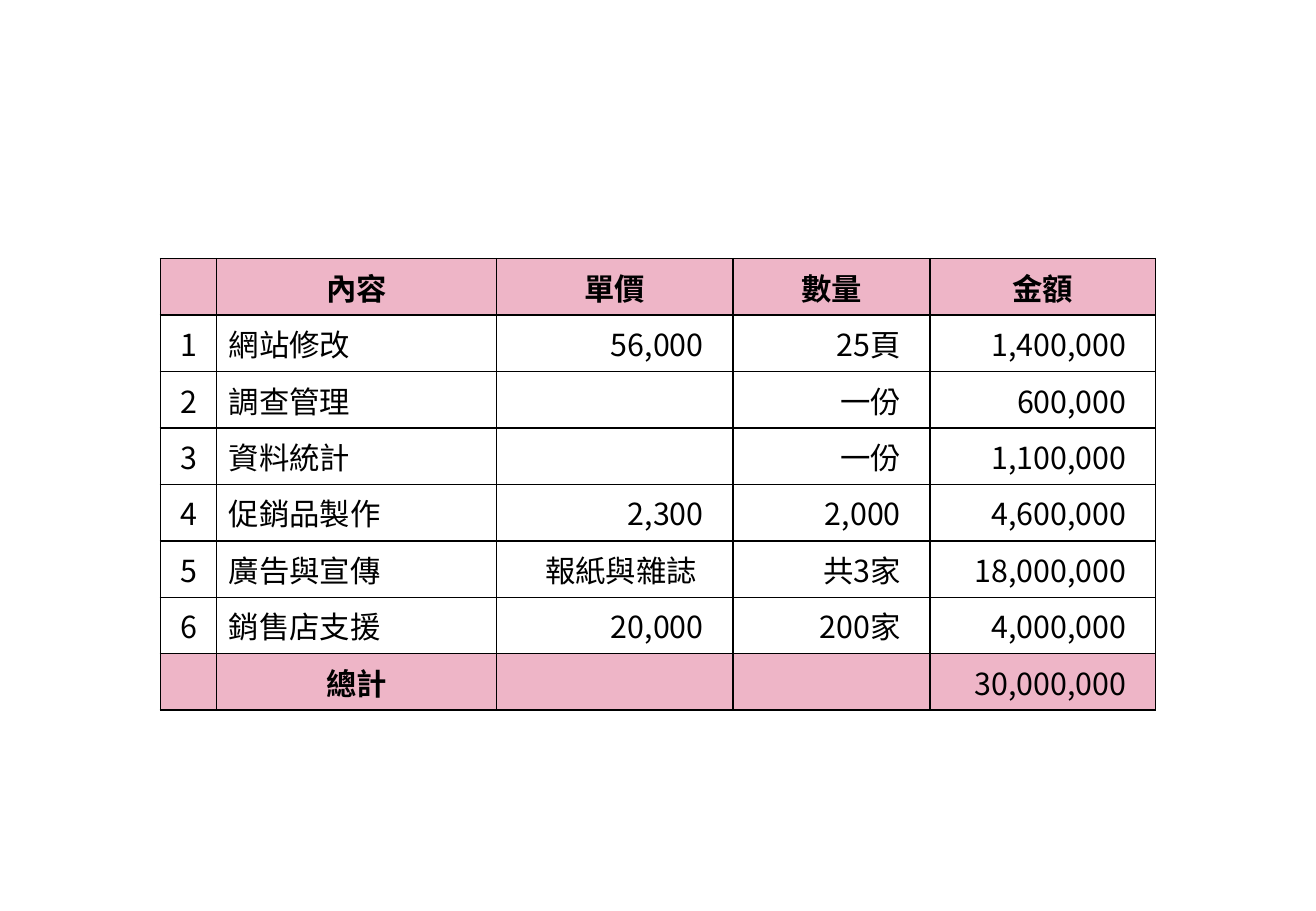
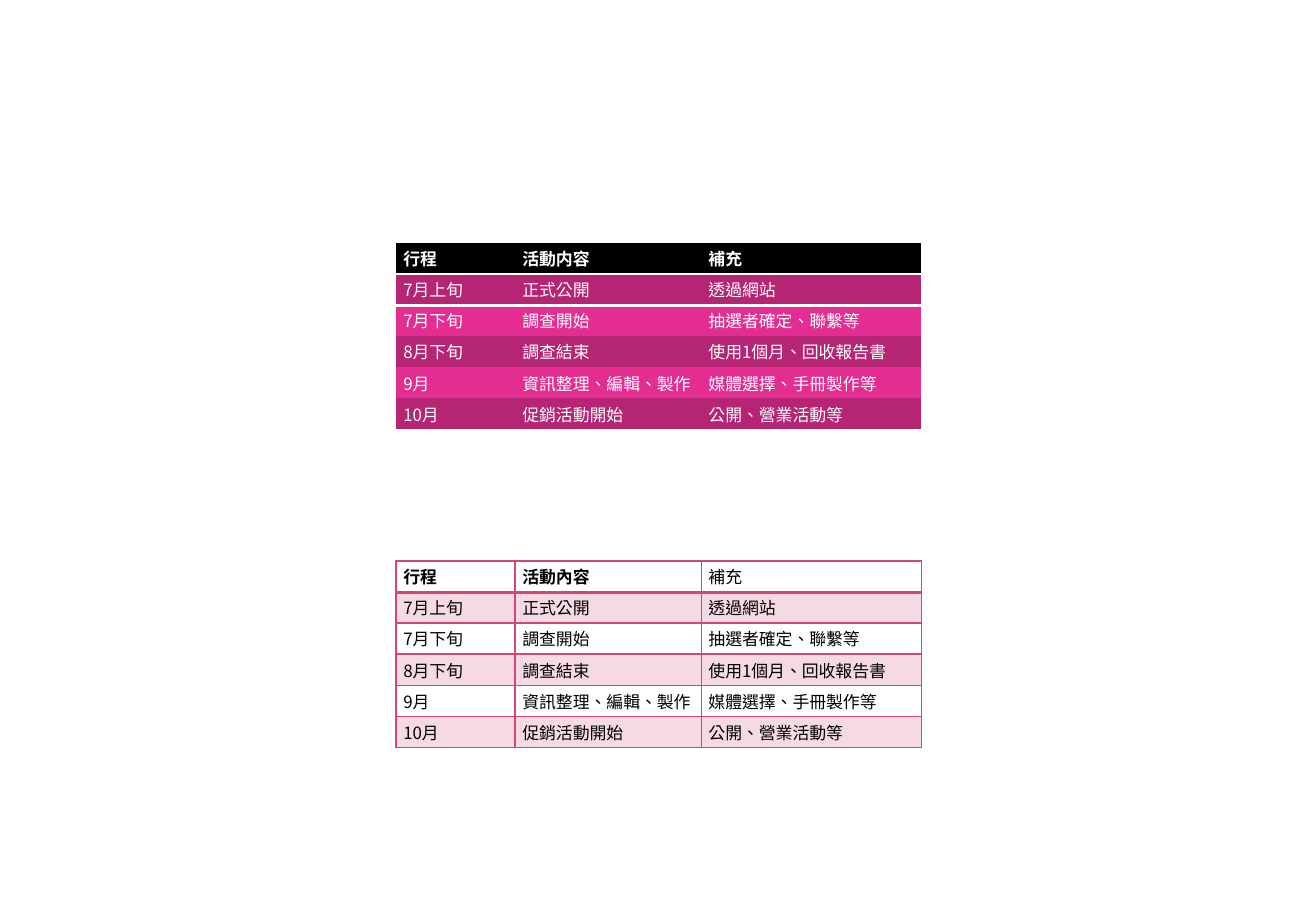
from dataclasses import dataclass
from typing import Optional

from lxml.etree import SubElement
from pptx import Presentation
from pptx.dml.color import RGBColor
from pptx.enum.lang import MSO_LANGUAGE_ID as LANG
from pptx.enum.text import MSO_ANCHOR as ANCHOR, PP_ALIGN as ALIGN
from pptx.oxml import parse_xml
from pptx.oxml.ns import nsdecls, qn
from pptx.util import Cm, Pt


@dataclass(frozen=True)
class Theme:
    font: str = "Noto Sans CJK SC"
    black: str = "000000"
    white: str = "FFFFFF"
    blush: str = "EEB5C7"
    rose: str = "D54773"
    plum: str = "B62474"
    magenta: str = "E32D91"
    budget_size: int = 18
    schedule_size: int = 10
    line: int = 1
    header_line: int = 2
    tint: int = 20
    no_style: str = "{2D5ABB26-0587-4C30-8999-92F81FD0307C}"


T = Theme()


@dataclass(frozen=True)
class TableLook:
    size: int
    margins: tuple  # horizontal and vertical, in cm
    row_height: float
    text: str = T.black
    header_fill: Optional[str] = None
    bands: tuple = (None, None)
    alpha: int = 100
    grid: Optional[str] = None
    header_rule: Optional[str] = None


BUDGET = TableLook(T.budget_size, (0.25, 0.13), 1.17, header_fill=T.blush, grid=T.black)
SOLID = TableLook(T.schedule_size, (0.15, 0.07), 0.65, text=T.white, header_fill=T.black,
                  bands=(T.plum, T.magenta), header_rule=T.white)
TINTED = TableLook(T.schedule_size, (0.15, 0.07), 0.65, bands=(T.rose, None),
                   alpha=T.tint, grid=T.rose, header_rule=T.rose)

BUDGET_COLS = (1.18, 5.85, 4.94, 4.12, 4.72)
BUDGET_RIGHT_MARGIN = 0.61
BUDGET_ROWS = [
    ("", "內容", "單價", "數量", "金額"),
    ("1", "網站修改", "56,000", "25頁", "1,400,000"),
    ("2", "調查管理", "", "一份", "600,000"),
    ("3", "資料統計", "", "一份", "1,100,000"),
    ("4", "促銷品製作", "2,300", "2,000", "4,600,000"),
    ("5", "廣告與宣傳", "報紙與雜誌 ", "共3家", "18,000,000"),
    ("6", "銷售店支援", "20,000", "200家", "4,000,000"),
    ("", "總計", "", "", "30,000,000"),
]

SCHEDULE_LEFT = 8.28
SCHEDULE_COLS = (2.49, 3.89, 4.6)
SCHEDULE_ROWS = [
    ("7月上旬", "正式公開", "透過網站"),
    ("7月下旬", "調查開始", "抽選者確定、聯繫等"),
    ("8月下旬", "調查結束", "使用1個月、回收報告書"),
    ("9月", "資訊整理、編輯、製作", "媒體選擇、手冊製作等"),
    ("10月", "促銷活動開始", "公開、營業活動等"),
]


def paint(cell, color, alpha=100):
    if color is None:
        cell.fill.background()
        return
    cell.fill.solid()
    cell.fill.fore_color.rgb = RGBColor.from_string(color)
    if alpha < 100:
        srgb = cell.fill._xPr.find(qn("a:solidFill")).find(qn("a:srgbClr"))
        SubElement(srgb, qn("a:alpha"), val=str(alpha * 1000))


def set_borders(cell, borders):
    """Add (side, colour, points) lines, given in the order L, R, T, B, ahead of the fill."""
    tcPr = cell._tc.get_or_add_tcPr()
    for i, (side, color, width) in enumerate(borders):
        tcPr.insert(i, parse_xml(
            f'<a:ln{side} {nsdecls("a")} w="{Pt(width)}"><a:solidFill>'
            f'<a:srgbClr val="{color}"/></a:solidFill></a:ln{side}>'))


def cell_borders(look, row):
    """The header rule is shared by the header's bottom and the first body row's top."""
    rule_side = {0: "B", 1: "T"}.get(row) if look.header_rule else None
    for side in "LRTB":
        if side == rule_side:
            yield side, look.header_rule, T.header_line
        elif look.grid:
            yield side, look.grid, T.line


def set_bold(cell, bold):
    for r in cell.text_frame.paragraphs[0].runs:
        r.font.bold = bold


def write_cell(cell, text, look, bold):
    cell.vertical_anchor = ANCHOR.MIDDLE
    cell.margin_left = cell.margin_right = Cm(look.margins[0])
    cell.margin_top = cell.margin_bottom = Cm(look.margins[1])
    cell.text_frame.text = text
    for r in cell.text_frame.paragraphs[0].runs:
        r.font.name = T.font
        r.font.size = Pt(look.size)
        r.font.color.rgb = RGBColor.from_string(look.text)
        r.font.language_id = LANG.TRADITIONAL_CHINESE
        SubElement(r.font._element, qn("a:ea"), typeface=T.font)
    set_bold(cell, bold)


def add_table(s, left, top, cols, rows, look):
    frame = s.shapes.add_table(len(rows), len(cols), Cm(left), Cm(top),
                               Cm(sum(cols)), Cm(look.row_height * len(rows)))
    table = frame.table
    table.horz_banding = False
    table._tbl.tblPr.find(qn("a:tableStyleId")).text = T.no_style
    for column, width in zip(table.columns, cols):
        column.width = Cm(width)
    for i, row in enumerate(rows):
        table.rows[i].height = Cm(look.row_height)
        fill = look.bands[(i - 1) % 2] if i else look.header_fill
        for j, text in enumerate(row):
            cell = table.cell(i, j)
            write_cell(cell, text, look, bold=i == 0)
            paint(cell, fill, look.alpha)
            set_borders(cell, cell_borders(look, i))
    return table


def add_budget(s):
    table = add_table(s, 3.35, 5.41, BUDGET_COLS, BUDGET_ROWS, BUDGET)
    last = len(BUDGET_ROWS) - 1
    for i in range(last + 1):
        for j in range(len(BUDGET_COLS)):
            cell = table.cell(i, j)
            p = cell.text_frame.paragraphs[0]
            if i == 0 or j == 0 or (i, j) == (last, 1):
                p.alignment = ALIGN.CENTER
            elif j > 1:
                p.alignment = ALIGN.RIGHT
                cell.margin_right = Cm(BUDGET_RIGHT_MARGIN)
            if i == last:
                paint(cell, T.blush)
    set_bold(table.cell(last, 1), True)


def add_schedule(s, top, header, look):
    return add_table(s, SCHEDULE_LEFT, top, SCHEDULE_COLS, [header] + SCHEDULE_ROWS, look)


def main():
    prs = Presentation()
    prs.slide_width, prs.slide_height = Cm(27.51), Cm(19.05)
    blank = prs.slide_layouts[6]

    add_budget(prs.slides.add_slide(blank))

    s = prs.slides.add_slide(blank)
    add_schedule(s, 5.08, ("行程", "活動内容", "補充"), SOLID)
    tinted = add_schedule(s, 11.73, ("行程", "活動內容", "補充"), TINTED)
    set_bold(tinted.cell(0, 2), False)

    prs.save("out.pptx")


if __name__ == "__main__":
    main()
